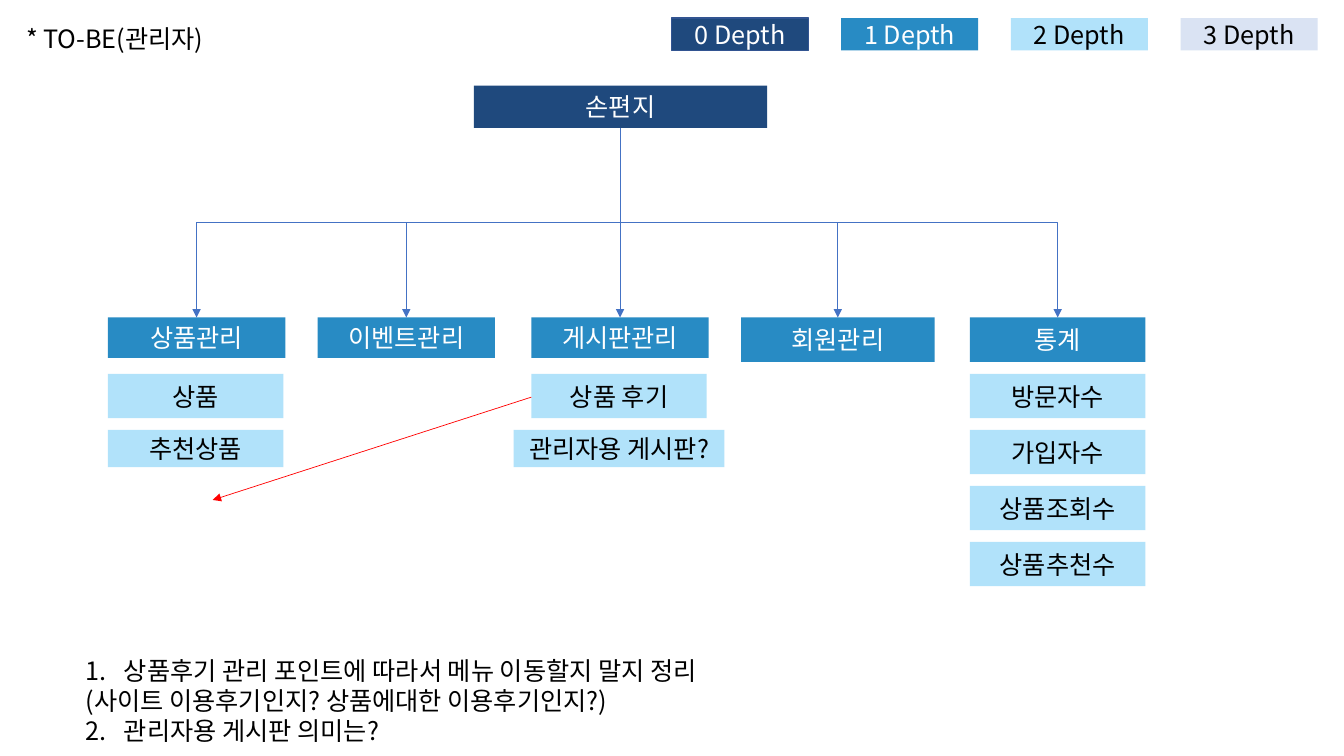
from lxml import etree
from pptx import Presentation
from pptx.dml.color import RGBColor
from pptx.enum.shapes import MSO_CONNECTOR, MSO_SHAPE
from pptx.enum.text import MSO_ANCHOR, PP_ALIGN
from pptx.oxml.ns import qn
from pptx.util import Inches, Pt

FONT = "Noto Sans CJK KR"
WHITE, BLACK, NAVY, BLUE, SKY, PALE = (
    "FFFFFF", "000000", "1F497D", "288BC4", "B1E2FA", "DAE3F3")
LINK, RED = "4472C4", "FF0000"

TITLE = "* TO-BE(관리자)"
LEGEND = [("0 Depth", NAVY, WHITE), ("1 Depth", BLUE, WHITE),
          ("2 Depth", SKY, BLACK), ("3 Depth", PALE, BLACK)]
ROOT = ("손편지", 4.7, 0.85, 2.91, 0.42)
# menu name, left, width, height, arrow x, items as (name, width, height)
MENUS = [
    ("상품관리", 1.07, 1.76, 0.4, 1.95,
     [("상품", 1.74, 0.44), ("추천상품", 1.74, 0.37)]),
    ("이벤트관리", 3.15, 1.76, 0.4, 4.03, []),
    ("게시판관리", 5.27, 1.76, 0.4, 6.15,
     [("상품 후기", 1.74, 0.44), ("관리자용 게시판?", 2.09, 0.37)]),
    ("회원관리", 7.35, 1.92, 0.44, 8.31, []),
    ("통계", 9.62, 1.74, 0.44, 10.49,
     [(name, 1.74, 0.44) for name in
      ("방문자수", "가입자수", "상품조회수", "상품추천수")]),
]
# number (None for a plain line), text
NOTES = [(1, "상품후기 관리 포인트에 따라서 메뉴 이동할지 말지 정리"),
         (None, "(사이트 이용후기인지? 상품에대한 이용후기인지?)"),
         (2, "관리자용 게시판 의미는?")]
MENU_TOP, ITEM_TOP, ITEM_STEP, ITEM_WIDTH = 3.15, 3.71, 0.555, 1.74
LEGEND_LEFT, LEGEND_STEP = 6.66, 1.683


def rgb(value):
    """Turn a hex string into a colour."""
    return RGBColor.from_string(value)


def write(paragraph, text, color):
    """Add text in the slide's font."""
    run = paragraph.add_run()
    run.text = text
    run.font.size, run.font.name = Pt(18), FONT
    run.font.color.rgb = rgb(color)
    properties = run.font._element
    etree.SubElement(properties, qn("a:ea"), typeface=FONT)


def box(text, left, top, width, height, fill, color):
    """Draw a filled rectangle with centred text."""
    shape = slide.shapes.add_shape(
        MSO_SHAPE.RECTANGLE, *map(Inches, (left, top, width, height)))
    shape.shadow.inherit = False
    shape.fill.solid()
    shape.fill.fore_color.rgb = rgb(fill)
    shape.line.fill.background()
    frame = shape.text_frame
    frame.word_wrap = True
    frame.vertical_anchor = MSO_ANCHOR.MIDDLE
    frame.paragraphs[0].alignment = PP_ALIGN.CENTER
    write(frame.paragraphs[0], text, color)
    return shape


def arrow(kind, start, end, color):
    """Draw a thin connector with a triangle at its end."""
    line = slide.shapes.add_connector(kind, *map(Inches, (*start, *end)))
    line.line.color.rgb = rgb(color)
    line.line.width = Pt(0.5)
    etree.SubElement(line.line._get_or_add_ln(), qn("a:tailEnd"), type="triangle")
    etree.SubElement(line._element.spPr, qn("a:effectLst"))
    return line


def drop_arrow(start, end):
    """Draw an elbow that goes down, across and down, by turning it a quarter."""
    (x1, y1), (x2, y2) = start, end
    mid_x, mid_y = (x1 + x2) / 2, (y1 + y2) / 2
    side = 1 if x2 > x1 else -1
    half_w, half_h = side * (y2 - y1) / 2, abs(x2 - x1) / 2
    line = arrow(MSO_CONNECTOR.ELBOW, (mid_x + half_w, mid_y - half_h),
                 (mid_x - half_w, mid_y + half_h), LINK)
    degrees = 270 if side == 1 else 90
    line._element.spPr.find(qn("a:xfrm")).set("rot", str(degrees * 60000))


def text_box(lines, left, top, width, height):
    """Write lines of text, numbering those that carry a number."""
    frame = slide.shapes.add_textbox(
        *map(Inches, (left, top, width, height))).text_frame
    frame.word_wrap = True
    for index, (number, text) in enumerate(lines):
        paragraph = frame.add_paragraph() if index else frame.paragraphs[0]
        write(paragraph, text, BLACK)
        if number:
            props = paragraph._p.get_or_add_pPr()
            props.set("marL", str(Inches(0.38)))
            props.set("indent", str(-Inches(0.38)))
            etree.SubElement(props, qn("a:buFont"), typeface=FONT)
            etree.SubElement(props, qn("a:buAutoNum"),
                             type="arabicPeriod", startAt=str(number))


prs = Presentation()
prs.slide_width, prs.slide_height = Inches(13.33), Inches(7.5)
slide = prs.slides.add_slide(prs.slide_layouts[6])

text_box([(None, TITLE)], 0.16, 0.18, 2.01, 0.4)
for index, (label, fill, color) in enumerate(LEGEND):
    key = box(label, LEGEND_LEFT + index * LEGEND_STEP, 0.18, 1.36, 0.32, fill, color)
    if index == 0:
        key.line.color.rgb = rgb("325491")
        key.line.width = Pt(1)

root_name, root_left, root_top, root_width, root_height = ROOT
box(*ROOT, NAVY, WHITE)
root_foot = (6.15, root_top + root_height)

for name, left, width, height, arrow_x, items in MENUS:
    box(name, left, MENU_TOP, width, height, BLUE, WHITE)
    drop_arrow(root_foot, (arrow_x, MENU_TOP))
    for row, (item, item_width, item_height) in enumerate(items):
        item_left = left + (ITEM_WIDTH - item_width) / 2
        box(item, item_left, ITEM_TOP + row * ITEM_STEP,
            item_width, item_height, SKY, BLACK)

arrow(MSO_CONNECTOR.STRAIGHT, (5.27, 3.94), (2.11, 4.96), RED)
text_box(NOTES, 0.75, 6.45, 7.01, 1.01)

prs.save("out.pptx")
